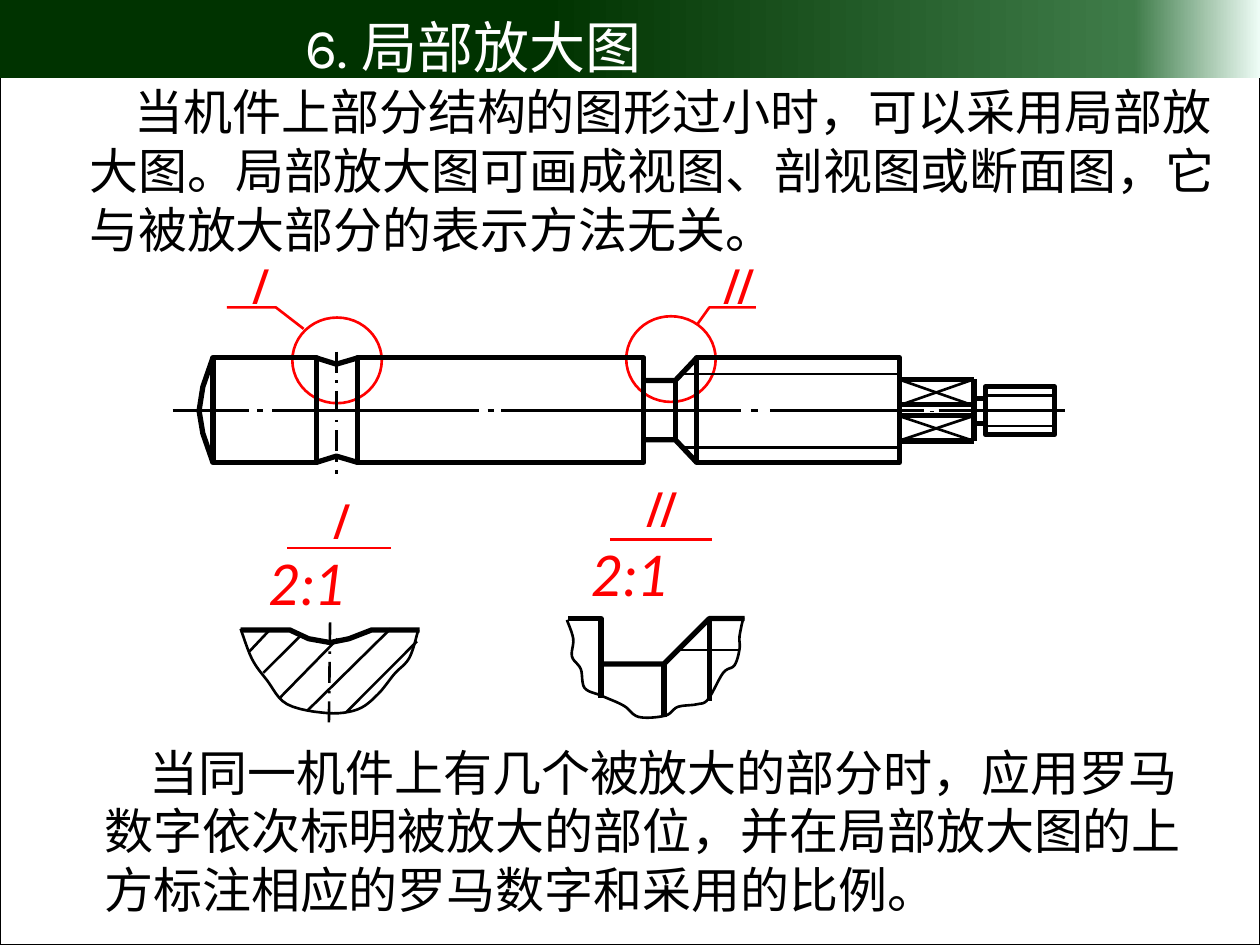
"""Build a slide on enlarged detail views of a stepped shaft."""
from copy import deepcopy

from lxml import etree
from pptx import Presentation
from pptx.dml.color import RGBColor
from pptx.enum.dml import MSO_LINE
from pptx.enum.shapes import MSO_CONNECTOR, MSO_SHAPE
from pptx.oxml.ns import qn
from pptx.util import Inches, Pt

RECT, OVAL = MSO_SHAPE.RECTANGLE, MSO_SHAPE.OVAL
STRAIGHT, DASH_DOT = MSO_CONNECTOR.STRAIGHT, MSO_LINE.LONG_DASH_DOT
BLACK, WHITE = RGBColor(0, 0, 0), RGBColor(255, 255, 255)
RED = RGBColor(255, 0, 0)
BAND = [(0.43, RGBColor(0x00, 0x33, 0x00)), (0.9, RGBColor(0x3F, 0x7C, 0x49)),
        (1, RGBColor(0xEE, 0xFC, 0xF6))]
CJK = "Noto Sans CJK SC"
THIN, THICK = 1.5, 3

prs = Presentation()
prs.slide_width, prs.slide_height = Inches(10), Inches(7.5)
s = prs.slides.add_slide(prs.slide_layouts[6])


def add_text(box, text, font, size, color, insets, indent=0, italic=False):
    tf = s.shapes.add_textbox(*map(Inches, box)).text_frame
    frame = dict(zip(("margin_left", "margin_top", "margin_right", "margin_bottom"),
                     map(Inches, insets)), word_wrap=True)
    for name, value in frame.items():
        setattr(tf, name, value)
    p = tf.paragraphs[0]
    p.line_spacing = Pt(size * 1.2)
    if indent:
        p._p.get_or_add_pPr().set("indent", str(Inches(indent)))
    r = p.add_run()
    r.text = text
    for name, value in {"name": font, "size": Pt(size), "italic": italic}.items():
        setattr(r.font, name, value)
    r.font.color.rgb = color
    etree.SubElement(r._r.get_or_add_rPr(), qn("a:ea")).set("typeface", CJK)


def add_path(points, width=THIN, color=BLACK, dash=None):
    pts = [(Inches(x), Inches(y)) for x, y in points]
    if len(pts) == 2:
        sp = s.shapes.add_connector(STRAIGHT, *pts[0], *pts[1])
        etree.SubElement(sp._element.spPr, qn("a:effectLst"))
    else:
        builder = s.shapes.build_freeform(*pts[0])
        builder.add_line_segments(pts[1:], close=False)
        sp = builder.convert_to_shape()
        sp.fill.background()
        sp.shadow.inherit = False
    for name, value in {"width": Pt(width), "dash_style": dash}.items():
        setattr(sp.line, name, value)
    sp.line.color.rgb = color


outlines = [
    (RECT, (0, 0, 10, 7.5), BLACK, 0.75),
    (RECT, (0, -0.02, 10, 0.64), None, 0),
    (OVAL, (2.32, 2.52, 0.71, 0.68), RED, THIN),
    (OVAL, (4.97, 2.51, 0.71, 0.68), RED, THIN),
    (RECT, (7.82, 3.07, 0.55, 0.38), BLACK, THICK),
    (RECT, (5.53, 2.84, 1.61, 0.83), BLACK, THICK),
    (RECT, (1.69, 2.84, 0.82, 0.83), BLACK, THICK),
    (RECT, (2.84, 2.84, 2.27, 0.83), BLACK, THICK),
]
for kind, box, color, width in outlines:
    sp = s.shapes.add_shape(kind, *map(Inches, box))
    sp.shadow.inherit = False
    if color is not None:
        sp.fill.background()
        sp.line.color.rgb = color
        sp.line.width = Pt(width)
        continue
    sp.line.fill.background()
    sp.fill.gradient()
    sp.fill.gradient_angle = 0
    stops = next(sp._element.spPr.iter(qn("a:gsLst")))
    stops.append(deepcopy(stops[-1]))
    for stop, (position, rgb) in zip(sp.fill.gradient_stops, BAND):
        stop.position = position
        stop.color.rgb = rgb

add_text((2.33, 0, 7.47, 0.63), "6. 局部放大图", "Karla", 32, WHITE,
         (0.1, 0.1, 0.1, 0.05))
body = [
    ((0.61, 0.55, 9.43, 1.5), "当机件上部分结构的图形过小时，可以采用局部放大图。"
     "局部放大图可画成视图、剖视图或断面图，它与被放大部分的表示方法无关。"),
    ((0.73, 5.79, 8.88, 1.5), "当同一机件上有几个被放大的部分时，应用罗马数字依次标明"
     "被放大的部位，并在局部放大图的上方标注相应的罗马数字和采用的比例。"),
]
for box, text in body:
    add_text(box, text, CJK, 28, BLACK, (0.1, 0.1, 0.1, 0.05), indent=0.36)

numerals = [("Ⅰ", 1.84, 2.01), ("Ⅱ", 5.63, 2.01), ("Ⅰ", 2.48, 3.88), ("Ⅱ", 5.02, 3.78)]
for text, x, y in numerals:
    add_text((x, y, 0.38, 0.45), text, CJK, 27, RED, (0, 0.03, 0, 0), italic=True)
for x, y in [(2.13, 4.36), (4.69, 4.29)]:
    add_text((x, y, 0.95, 0.53), "2:1", "Lato", 32, RED, (0, 0, 0, 0), italic=True)

leaders = [
    [(1.8, 2.44), (2.19, 2.44), (2.41, 2.61)],
    [(6, 2.44), (5.63, 2.44), (5.53, 2.58)],
    [(2.28, 4.35), (3.1, 4.35)],
    [(4.84, 4.28), (5.65, 4.28)],
]
for points in leaders:
    add_path(points, color=RED)

shaft_edges = [
    [(1.69, 2.84), (1.61, 3.07), (1.58, 3.26), (1.61, 3.44), (1.69, 3.67)],
    [(2.51, 2.84), (2.67, 2.89), (2.84, 2.84)],
    [(2.51, 3.67), (2.67, 3.62), (2.84, 3.67)],
    [(5.1, 3.02), (5.36, 3.02), (5.53, 2.84)],
    [(5.1, 3.49), (5.36, 3.49), (5.53, 3.67)],
    [(5.36, 3.02), (5.36, 3.49)],
    [(7.73, 3.01), (7.73, 3.5)],
]
for points in shaft_edges:
    add_path(points, THICK)

horizontals = [
    (5.41, 7.14, (2.97, 3.55), THIN),
    (7.82, 8.36, (3.14, 3.38), THIN),
    (7.73, 7.82, (3.16, 3.36), THICK),
    (7.13, 7.73, (3.01, 3.21, 3.3, 3.5), THICK),
]
for x1, x2, levels, width in horizontals:
    for y in levels:
        add_path([(x1, y), (x2, y)], width)
for top, bottom in [(3.01, 3.22), (3.3, 3.5)]:
    add_path([(7.13, top), (7.73, bottom)])
    add_path([(7.73, top), (7.13, bottom)])

axis = [(1.37, 1.98), (2.04, 2.09), (2.16, 3.8), (3.87, 3.92), (3.98, 5.88),
        (5.96, 6.02), (6.11, 7.33), (7.38, 7.41), (7.45, 8.45)]
for x1, x2 in axis:
    add_path([(x1, 3.26), (x2, 3.26)], 0.13 if x1 == 7.38 else THIN)
add_path([(2.67, 2.79), (2.67, 3.76)], dash=DASH_DOT)
add_path([(2.62, 4.94), (2.61, 5.78)], dash=DASH_DOT)

detail_edges = [
    [(1.91, 5), (2.3, 5), (2.45, 5.07), (2.62, 5.1), (2.77, 5.07), (2.95, 5), (3.33, 5)],
    [(4.51, 4.91), (4.77, 4.91), (4.77, 5.54)],
    [(4.77, 5.27), (5.27, 5.27), (5.63, 4.91), (5.91, 4.91)],
    [(5.27, 5.27), (5.27, 5.69)],
    [(5.63, 4.91), (5.63, 5.56)],
]
for points in detail_edges:
    add_path(points, THICK)
add_path([(5.38, 5.16), (5.86, 5.16)])

hatching = [(1.98, 5.17, 2.14, 5), (2.09, 5.34, 2.38, 5.05), (2.22, 5.54, 2.68, 5.07),
            (2.44, 5.64, 3.1, 4.99), (2.75, 5.65, 3.31, 5.09)]
for x1, y1, x2, y2 in hatching:
    add_path([(x1, y1), (x2, y2)])

break_lines = [
    [(1.91, 4.99), (2, 5.23), (2.12, 5.4), (2.28, 5.59), (2.6, 5.66), (2.84, 5.63),
     (3, 5.51), (3.13, 5.35), (3.25, 5.22), (3.32, 5)],
    [(4.5, 4.92), (4.55, 5.07), (4.54, 5.21), (4.61, 5.31), (4.64, 5.46), (4.77, 5.52),
     (4.95, 5.6), (5.07, 5.69), (5.28, 5.68), (5.38, 5.61), (5.53, 5.59), (5.62, 5.55),
     (5.74, 5.34), (5.83, 5.28), (5.87, 5.15), (5.87, 5.05), (5.9, 4.9)],
]
STEPS = 6
for knots in break_lines:
    padded = [knots[0], *knots, knots[-1]]
    curve = [knots[0]]
    for quad in zip(padded, padded[1:], padded[2:], padded[3:]):
        for t in (i / STEPS for i in range(1, STEPS + 1)):
            curve.append(tuple(
                b + t * (c - a) / 2 + t**2 * (2 * a - 5 * b + 4 * c - d) / 2
                + t**3 * (3 * b - a - 3 * c + d) / 2 for a, b, c, d in zip(*quad)))
    add_path(curve)

prs.save("out.pptx")
